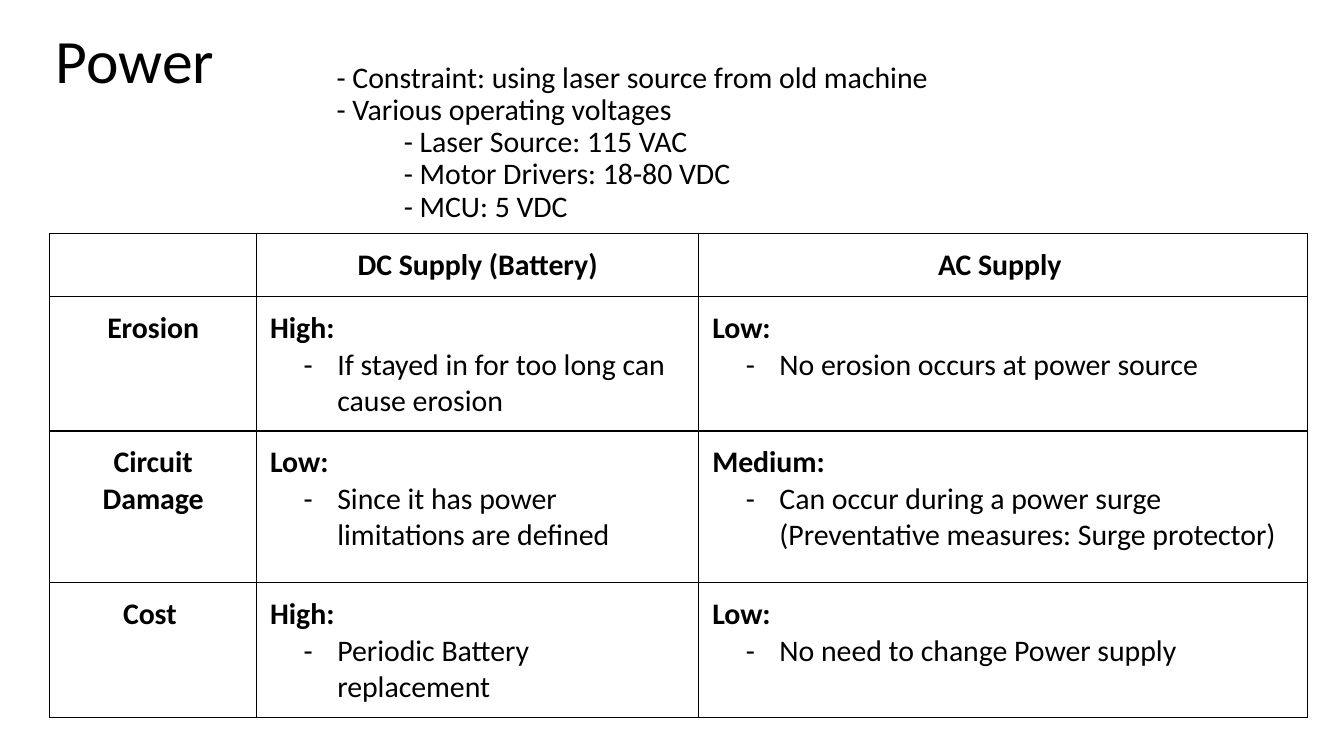
from pptx import Presentation
from pptx.dml.color import RGBColor
from pptx.enum.text import MSO_ANCHOR, PP_ALIGN
from pptx.oxml import parse_xml
from pptx.oxml.ns import nsdecls
from pptx.util import Inches, Pt

BLACK = "000000"


def add_span(para, text, size=16, bold=False):
    span = para.add_run()
    span.text = text
    span.font.name = "Calibri"
    span.font.size = Pt(size)
    span.font.bold = bold
    span.font.color.rgb = RGBColor.from_string(BLACK)


def add_text_box(page, left, top, width, height):
    box = page.shapes.add_textbox(Inches(left), Inches(top), Inches(width), Inches(height))
    frame = box.text_frame
    frame.word_wrap = True
    inset = Inches(0.3) // 4
    frame.margin_left = frame.margin_right = inset
    frame.margin_top = frame.margin_bottom = inset
    return frame


deck = Presentation()
deck.slide_width = Inches(10)
deck.slide_height = Inches(10) * 9 // 16
page = deck.slides.add_slide(deck.slide_layouts[6])

title = add_text_box(page, 0.12, 0.16, 1.77, 0.63)
title.vertical_anchor = MSO_ANCHOR.MIDDLE
para = title.paragraphs[0]
para.alignment = PP_ALIGN.CENTER
para.line_spacing = 0.9
add_span(para, "Power", 33)

notes = [
    (0, "- Constraint: using laser source from old machine"),
    (0, "- Various operating voltages"),
    (1, "- Laser Source: 115 VAC"),
    (1, "- Motor Drivers: 18-80 VDC"),
    (1, "- MCU: 5 VDC"),
]
body = add_text_box(page, 2.18, 0.39, 5.74, 1.25)
for index, (level, text) in enumerate(notes):
    para = body.add_paragraph() if index else body.paragraphs[0]
    para.level = level
    para.line_spacing = 0.9
    props = para._p.get_or_add_pPr()
    props.set("marL", str(Inches(0.25 + 0.5 * level)))
    props.set("indent", "0")
    add_span(para, text)

columns = [1.54, 3.29, 4.53]
heights = [0.42, 0.89, 1.13, 0.89]
rows = [
    [("",), ("DC Supply (Battery)",), ("AC Supply ",)],
    [("Erosion",),
     ("High:", "If stayed in for too long can cause erosion"),
     ("Low:", "No erosion occurs at power source")],
    [("Circuit Damage",),
     ("Low:", "Since it has power limitations are defined"),
     ("Medium:", "Can occur during a power surge (Preventative measures: Surge protector)")],
    [("Cost ",),
     ("High:", "Periodic Battery replacement"),
     ("Low:", "No need to change Power supply")],
]
table_frame = page.shapes.add_table(
    len(rows), len(columns), Inches(0.37), Inches(1.74), Inches(9.37), Inches(3.59))
table = table_frame.table
table.first_row = False
table.horz_banding = False
for column, width in zip(table.columns, columns):
    column.width = Inches(width)

for row, height, contents in zip(table.rows, heights, rows):
    row.height = Inches(height)
    for cell, (heading, *points) in zip(row.cells, contents):
        for side in ("lnL", "lnR", "lnT", "lnB"):
            cell._tc.get_or_add_tcPr().append(parse_xml(
                f'<a:{side} {nsdecls("a")} w="{Pt(0.75)}"><a:solidFill>'
                f'<a:srgbClr val="{BLACK}"/></a:solidFill></a:{side}>'))
        cell.fill.background()
        if not heading:
            continue
        cell.margin_left = cell.margin_right = Inches(0.1)
        cell.margin_top = cell.margin_bottom = Inches(0.1)
        para = cell.text_frame.paragraphs[0]
        para.alignment = PP_ALIGN.LEFT if points else PP_ALIGN.CENTER
        add_span(para, heading, bold=True)
        for point in points:
            para = cell.text_frame.add_paragraph()
            props = para._p.get_or_add_pPr()
            props.set("marL", str(Inches(0.5)))
            props.set("indent", str(Inches(-0.25)))
            props.append(parse_xml(f'<a:buFont {nsdecls("a")} typeface="Calibri"/>'))
            props.append(parse_xml(f'<a:buChar {nsdecls("a")} char="-"/>'))
            add_span(para, point)
table_frame.width = Inches(9.37)
table_frame.height = Inches(3.59)

deck.save("out.pptx")
